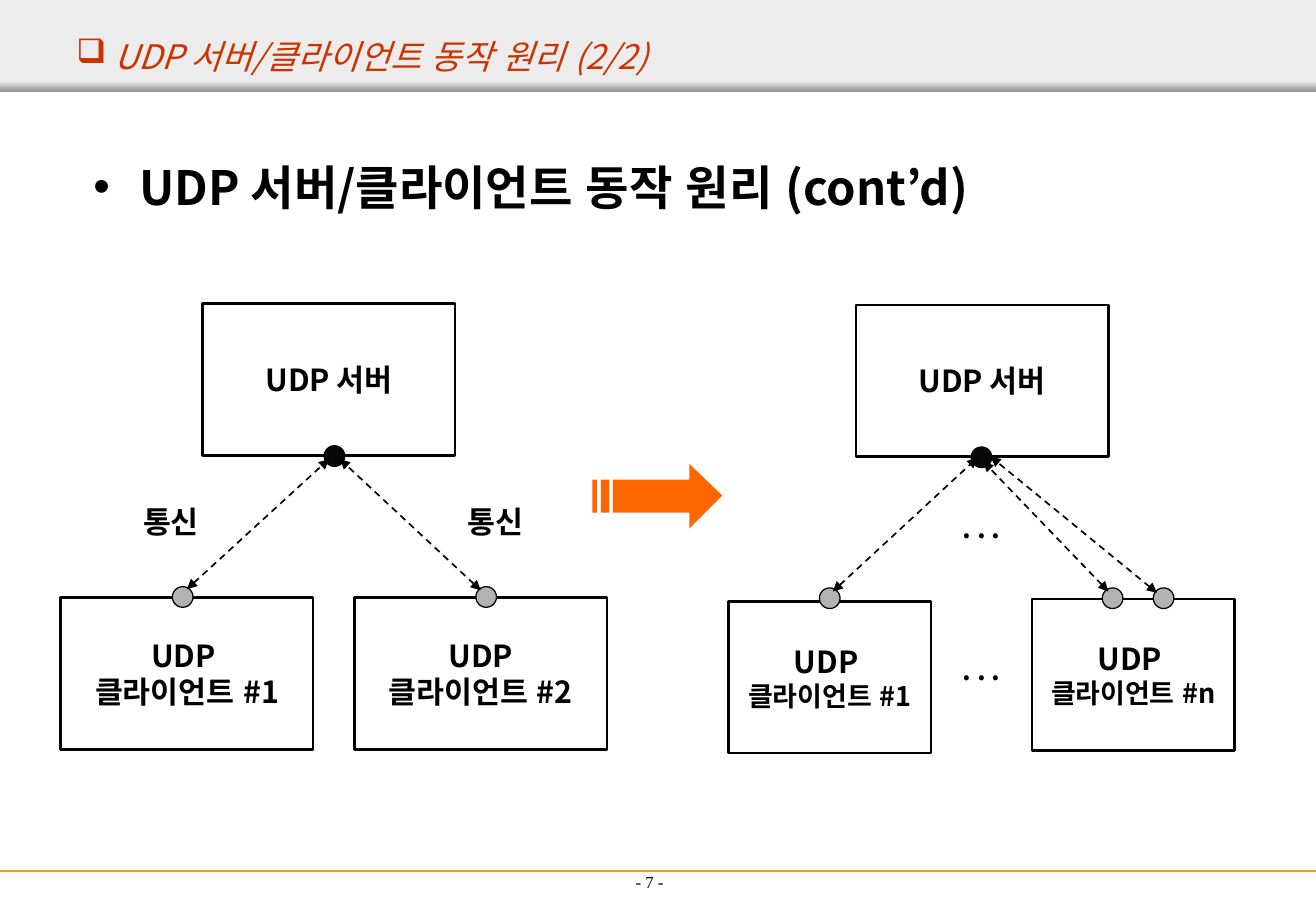
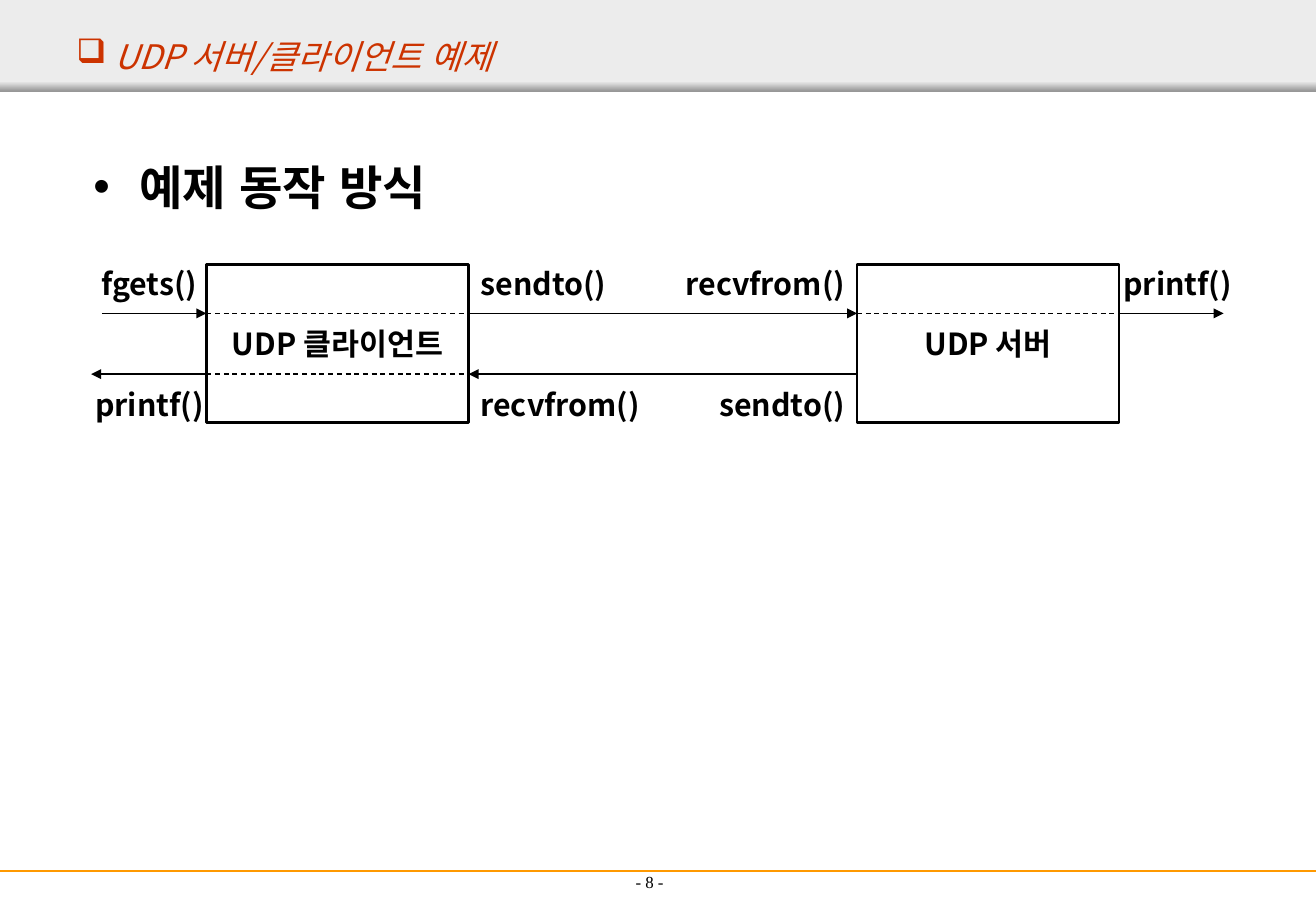
from dataclasses import dataclass

from lxml import etree
from pptx import Presentation
from pptx import util as u
from pptx.dml.color import RGBColor
from pptx.enum import dml, lang, shapes, text
from pptx.oxml import ns

EMU_PER_PX = 9144  # 100 px to the inch
SLIDE_WIDTH, SLIDE_HEIGHT = 1084, 750
LEFT, CENTER, RIGHT = text.PP_ALIGN.LEFT, text.PP_ALIGN.CENTER, text.PP_ALIGN.RIGHT


@dataclass(frozen=True)
class Theme:
    font: str = "Noto Sans CJK KR"
    footer_font: str = "Times New Roman"
    ink: str = "000000"
    title: str = "CC3300"
    band: str = "ECECEC"
    band_edge: str = "979797"
    rule: str = "FF9900"
    arrow: str = "FF6600"
    server_dot: str = "080808"
    client_dot: str = "B2B2B2"
    title_size: int = 20
    body_size: int = 28
    label_size: int = 18
    small_size: int = 16
    footer_size: int = 10
    box_line: float = 1.5
    link_line: float = 1
    thin_line: float = 0.75


def px(*values):
    return [value * EMU_PER_PX for value in values]


def apply(target, values):
    for name, value in values.items():
        setattr(target, name, value)


def add_xml(parent, tag, **attributes):
    return etree.SubElement(parent, ns.qn(tag), attributes)


class Deck:
    def __init__(self, theme, first_page):
        self.theme = theme
        self.page = first_page
        self.presentation = Presentation()
        width, height = px(SLIDE_WIDTH, SLIDE_HEIGHT)
        apply(self.presentation, {"slide_width": width, "slide_height": height})
        self.slide = None

    # Slide frame: band, rule, page number, title and list
    def new_slide(self, title, bullet):
        theme = self.theme
        layout = self.presentation.slide_layouts[1]
        self.slide = self.presentation.slides.add_slide(layout)
        self.shape("RECTANGLE", (0, 0, SLIDE_WIDTH, 75), fill=theme.band)
        edge = self.shape("RECTANGLE", (0, 67, SLIDE_WIDTH, 8))
        edge.fill.gradient()
        edge.fill.gradient_angle = 270
        for stop, color in zip(edge.fill.gradient_stops, (theme.band, theme.band_edge)):
            stop.color.rgb = RGBColor.from_string(color)
        self.line((0, 717), (SLIDE_WIDTH, 717), theme.box_line, color=theme.rule)
        self.label(f"- {self.page} -", (369, 689, 332, 50), CENTER, theme.footer_size,
                   anchor=text.MSO_ANCHOR.BOTTOM, bold=False, font=theme.footer_font)
        self.page += 1

        title_box, body_box = self.slide.placeholders
        self.placeholder(title_box, (53, 25, 1031, 42), title, "❑", theme.title,
                         theme.title_size, text.MSO_ANCHOR.MIDDLE, bold=False, italic=True)
        paragraph = self.placeholder(body_box, (67, 125, 950, 544), bullet, "•", theme.ink,
                                     theme.body_size, text.MSO_ANCHOR.TOP)
        paragraph.space_before = u.Pt(7)
        indent, = px(38)
        properties = paragraph._p.get_or_add_pPr()
        properties.set("marL", str(indent))
        properties.set("indent", str(-indent))

    def placeholder(self, shape, box, line, bullet, color, size, anchor, **style):
        apply(shape, dict(zip(("left", "top", "width", "height"), px(*box))))
        shape.element.getparent().append(shape.element)  # in front of the band
        self.fill_text(shape.text_frame, [line], LEFT, [size], anchor, color=color,
                       wrap=True, **style)
        paragraph = shape.text_frame.paragraphs[0]
        properties = paragraph._p.get_or_add_pPr()
        add_xml(add_xml(properties, "a:buClr"), "a:srgbClr", val=color)
        add_xml(properties, "a:buChar", char=bullet)
        return paragraph

    # Text
    def fill_text(self, frame, lines, align, sizes, anchor=text.MSO_ANCHOR.MIDDLE,
                  color=None, bold=True, italic=False, font=None, wrap=False):
        font = font or self.theme.font
        apply(frame, {"auto_size": text.MSO_AUTO_SIZE.NONE, "word_wrap": wrap,
                      "vertical_anchor": anchor})
        for index, (line, size) in enumerate(zip(lines, sizes)):
            paragraph = frame.add_paragraph() if index else frame.paragraphs[0]
            paragraph.alignment = align
            run = paragraph.add_run()
            run.text = line
            apply(run.font, {"name": font, "size": u.Pt(size), "bold": bold,
                             "italic": italic, "language_id": lang.MSO_LANGUAGE_ID.KOREAN})
            run.font.color.rgb = RGBColor.from_string(color or self.theme.ink)
            add_xml(run._r.get_or_add_rPr(), "a:ea", typeface=font)

    def label(self, line, box, align=LEFT, size=None, **style):
        shape = self.slide.shapes.add_textbox(*px(*box))
        self.fill_text(shape.text_frame, [line], align, [size or self.theme.label_size],
                       **style)

    # Shapes
    def paint(self, shape, fill=None, line_width=None):
        shape.shadow.inherit = False
        if fill:
            shape.fill.solid()
            shape.fill.fore_color.rgb = RGBColor.from_string(fill)
        else:
            shape.fill.background()
        if line_width:
            shape.line.width = u.Pt(line_width)
            shape.line.color.rgb = RGBColor.from_string(self.theme.ink)
        else:
            shape.line.fill.background()

    def shape(self, kind, box, **look):
        shape = self.slide.shapes.add_shape(getattr(shapes.MSO_SHAPE, kind), *px(*box))
        self.paint(shape, **look)
        return shape

    def box(self, lines, box, detail_size=None):
        label_size = self.theme.label_size
        shape = self.shape("RECTANGLE", box, line_width=self.theme.box_line)
        self.fill_text(shape.text_frame, lines, CENTER,
                       [label_size, detail_size or label_size])

    def dot(self, left, top, color):
        self.shape("OVAL", (left, top, 17, 17), fill=color, line_width=self.theme.thin_line)

    def outline(self, contours, fill):
        builder = self.slide.shapes.build_freeform(*contours[0][0], scale=EMU_PER_PX)
        for index, (start, *points) in enumerate(contours):
            if index:
                builder.move_to(*start)
            builder.add_line_segments(points, close=True)
        self.paint(builder.convert_to_shape(), fill=fill)

    # Lines and arrows
    def line(self, start, end, width, color=None, dashed=False, ends=()):
        connector = self.slide.shapes.add_connector(
            shapes.MSO_CONNECTOR.STRAIGHT, *px(*start, *end))
        connector.line.width = u.Pt(width)
        connector.line.color.rgb = RGBColor.from_string(color or self.theme.ink)
        if dashed:
            connector.line.dash_style = dml.MSO_LINE.DASH
        for end_name in ends:
            add_xml(connector.line._get_or_add_ln(), f"a:{end_name}", type="triangle")
        add_xml(connector._element.spPr, "a:effectLst")

    def link(self, start, end):
        self.line(start, end, self.theme.link_line, dashed=True, ends=("headEnd", "tailEnd"))


def bar(left, right, top=395, bottom=422):
    return [(left, top), (right, top), (right, bottom), (left, bottom)]


def principle_slide(deck):
    theme = deck.theme
    deck.new_slide(" UDP 서버/클라이언트 동작 원리 (2/2)", "UDP 서버/클라이언트 동작 원리 (cont’d)")

    # Striped arrow between the two stages
    deck.outline([
        [(505, 395), (568, 395), (568, 382), (595, 408), (568, 435), (568, 422), (505, 422)],
        bar(488, 492),
        bar(495, 502),
    ], theme.arrow)

    # Servers, clients and the waiting dots
    for left, top in ((167, 250), (705, 251)):
        deck.box(["UDP 서버"], (left, top, 208, 125))
    for first, name, left, top, width, size in (
            ("UDP ", "#1", 50, 492, 208, theme.label_size),
            ("UDP", "#2", 292, 492, 208, theme.label_size),
            ("UDP ", "#1", 600, 495, 167, theme.small_size),
            ("UDP ", "#n", 850, 493, 167, theme.small_size)):
        deck.box([first, f"클라이언트 {name}"], (left, top, width, 125), size)
    for top in (376, 493):
        deck.label(". . .", (767, top, 83, 117), CENTER, theme.small_size)
    for left in (108, 375):
        deck.label("통신", (left, 417, 183, 25))

    # Sockets and the links between them
    for left, top in ((267, 367), (800, 368)):
        deck.dot(left, top, theme.server_dot)
    for left, top in ((142, 483), (392, 483), (675, 484), (908, 484), (950, 484)):
        deck.dot(left, top, theme.client_dot)
    for client, server in (
            ((154, 485), (271, 378)),
            ((396, 486), (280, 378)),
            ((686, 487), (805, 377)),
            ((913, 487), (810, 380)),
            ((953, 488), (816, 376))):
        deck.link(client, server)


def example_slide(deck):
    thin = deck.theme.thin_line
    deck.new_slide(" UDP 서버/클라이언트 예제", "예제 동작 방식")

    # Client and server
    client, server, width = 170, 706, 216
    client_end, server_end = client + width, server + width
    request, reply = 258, 308
    for name, left in (("UDP 클라이언트", client), ("UDP 서버", server)):
        deck.box([name], (left, 218, width, 130))

    # Message flow
    for start, end, y in (
            (84, client, request), (client_end, server, request), (server_end, 1008, request),
            (server, client_end, reply), (client, 75, reply)):
        deck.line((start, y), (end, y), thin, ends=("tailEnd",))
    for left, y in ((client, request), (client, reply), (server, request)):
        deck.line((left, y), (left + width, y), thin, dashed=True)

    # Function calls, above the request and below the reply
    above, below = request - 50, reply
    for call, left, top, label_width, align in (
            ("fgets()", 84, above, 78, CENTER),
            ("sendto()", client_end, above, 95, LEFT),
            ("recvfrom()", 568, above, 138, RIGHT),
            ("printf()", 931, above, 78, CENTER),
            ("printf()", 84, below, 78, CENTER),
            ("recvfrom()", client_end, below, 104, LEFT),
            ("sendto()", 568, below, 138, RIGHT)):
        deck.label(call, (left, top, label_width, 50), align)


def main():
    deck = Deck(Theme(), first_page=7)
    principle_slide(deck)
    example_slide(deck)
    deck.presentation.save("out.pptx")


if __name__ == "__main__":
    main()
